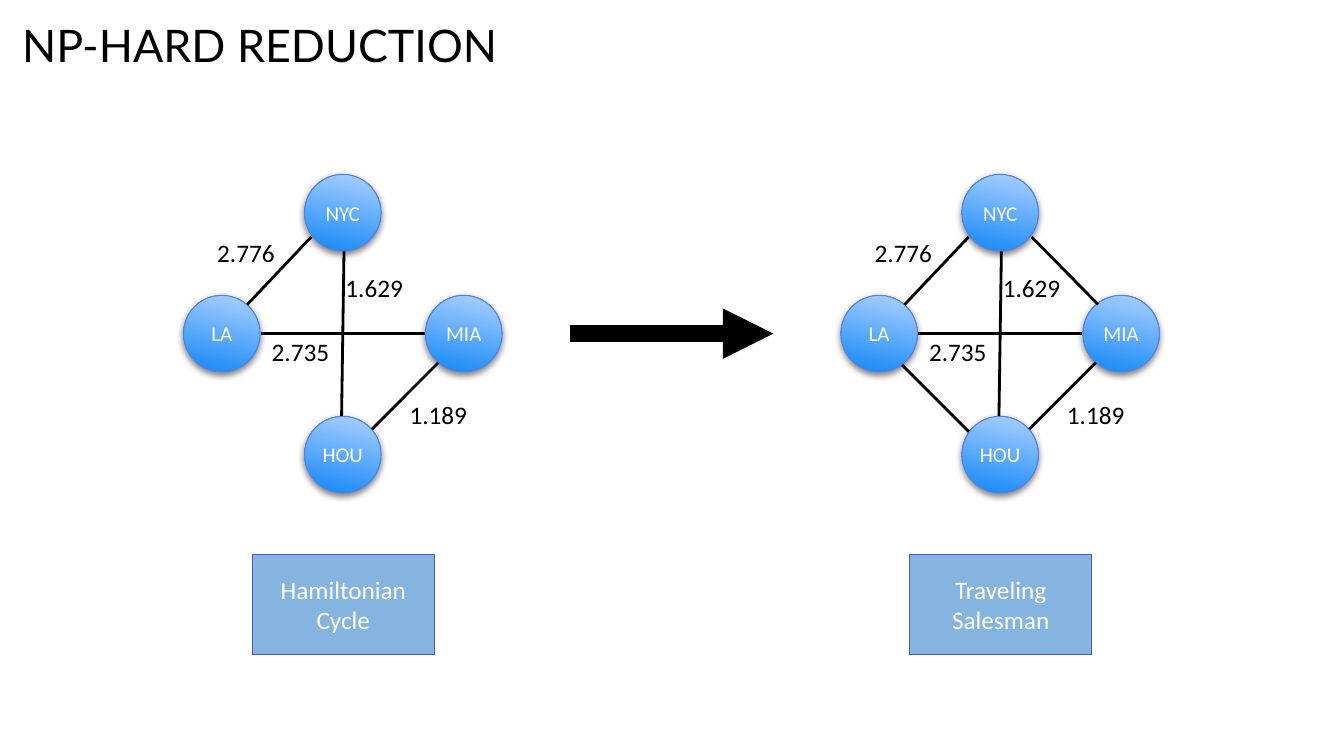
"""Build the NP-hard reduction slide: two city graphs joined by an arrow."""
from lxml.etree import SubElement
from pptx import Presentation
from pptx.dml.color import RGBColor as RGB
from pptx.enum.shapes import MSO_CONNECTOR as LINE, MSO_SHAPE as SHAPE
from pptx.enum.text import MSO_ANCHOR as ANCHOR, PP_ALIGN as ALIGN
from pptx.oxml import parse_xml
from pptx.oxml.ns import nsdecls, qn
from pptx.util import Inches, Pt

BLACK = RGB(0x00, 0x00, 0x00)
WHITE = RGB(0xFF, 0xFF, 0xFF)
DEEP = RGB(0x12, 0x87, 0xF6)
PALE = RGB(0xAF, 0xD2, 0xFF)
RIM = RGB(0x4F, 0x80, 0xEF)
PANEL = RGB(0x84, 0xB4, 0xDF)
EDGE = RGB(0x4B, 0x5A, 0xB6)

HOP = 1.2
DISC = 0.76
MID = 3.31
SHADOW = (f'<a:outerShdw {nsdecls("a")} blurRad="63500" dist="25400" dir="5400000" '
          'rotWithShape="0"><a:srgbClr val="000000"><a:alpha val="50000"/>'
          '</a:srgbClr></a:outerShdw>')

CITIES = [("LA", -1, 0), ("NYC", 0, -1), ("MIA", 1, 0), ("HOU", 0, 1)]
ROADS = [
    (-0.79, -0.24, -0.26, -0.8),
    (-0.01, 0.68, 0.01, -0.68),
    (0.24, 0.79, 0.79, 0.24),
    (0.68, 0, -0.68, 0),
]
EXTRA = [(0.81, -0.24, 0.26, -0.8), (-0.26, 0.81, -0.81, 0.26)]
COSTS = [
    ("2.776", -1.08, -0.82),
    ("1.189", 0.51, 0.52),
    ("1.629", -0.02, -0.53),
    ("2.735", -0.63, 0),
]
GRAPHS = [
    (3.4, "Hamiltonian Cycle", ROADS),
    (9.92, "Traveling Salesman", ROADS + EXTRA),
]

deck = Presentation()
deck.slide_width, deck.slide_height = Inches(13.33), Inches(7.5)
slide = deck.slides.add_slide(deck.slide_layouts[6])
shapes = slide.shapes


def write(shape, text, size, color, align=ALIGN.LEFT, font="Calibri", wrap=True):
    frame = shape.text_frame
    frame.text = text
    frame.word_wrap = wrap
    frame.vertical_anchor = ANCHOR.MIDDLE
    frame.margin_left = frame.margin_right = Inches(0.05)
    frame.margin_top = frame.margin_bottom = Inches(0.05)
    para = frame.paragraphs[0]
    para.alignment = align
    face = para.runs[0].font
    face.name, face.size, face.color.rgb = font, Pt(size), color
    return para


def draw(x1, y1, x2, y2, width):
    line = shapes.add_connector(LINE.STRAIGHT, *map(Inches, (x1, y1, x2, y2)))
    line.line.color.rgb = BLACK
    line.line.width = Pt(width)
    SubElement(line._element.spPr, qn("a:effectLst"))
    return line


title = shapes.add_textbox(*map(Inches, (0.17, 0.12, 6.13, 0.71)))
write(title, "NP-HARD REDUCTION", 32, BLACK, font="Lato").line_spacing = 0.9

for hub, name, roads in GRAPHS:
    panel = shapes.add_shape(
        SHAPE.RECTANGLE, *map(Inches, (hub - 0.9, 5.5, 1.81, 0.99)))
    panel.shadow.inherit = False
    panel.fill.solid()
    panel.fill.fore_color.rgb = PANEL
    panel.line.color.rgb = EDGE
    panel.line.width = Pt(0.75)
    write(panel, name, 18, WHITE, ALIGN.CENTER)

    for city, col, row in CITIES:
        left = hub + col * HOP - DISC / 2
        top = MID + row * HOP - DISC / 2
        disc = shapes.add_shape(SHAPE.OVAL, *map(Inches, (left, top, DISC, DISC)))
        disc.fill.gradient()
        disc.fill.gradient_angle = 77
        for stop, tone in zip(disc.fill.gradient_stops, (DEEP, PALE)):
            stop.color.rgb = tone
        disc.line.color.rgb = RIM
        disc.line.width = Pt(0.75)
        disc.shadow.inherit = False
        disc._element.spPr.find(qn("a:effectLst")).append(parse_xml(SHADOW))
        write(disc, city, 15, WHITE, ALIGN.CENTER, wrap=False)

    for x1, y1, x2, y2 in roads:
        draw(hub + x1 * HOP, MID + y1 * HOP, hub + x2 * HOP, MID + y2 * HOP, 2)

    for cost, col, row in COSTS:
        label = shapes.add_textbox(
            *map(Inches, (hub + col * HOP, MID + row * HOP, 0.68, 0.36)))
        write(label, cost, 18, BLACK, wrap=False)

arrow = draw(5.65, MID, 7.67, MID, 12)
SubElement(arrow.line._get_or_add_ln(), qn("a:tailEnd"), type="triangle")

deck.save("out.pptx")
